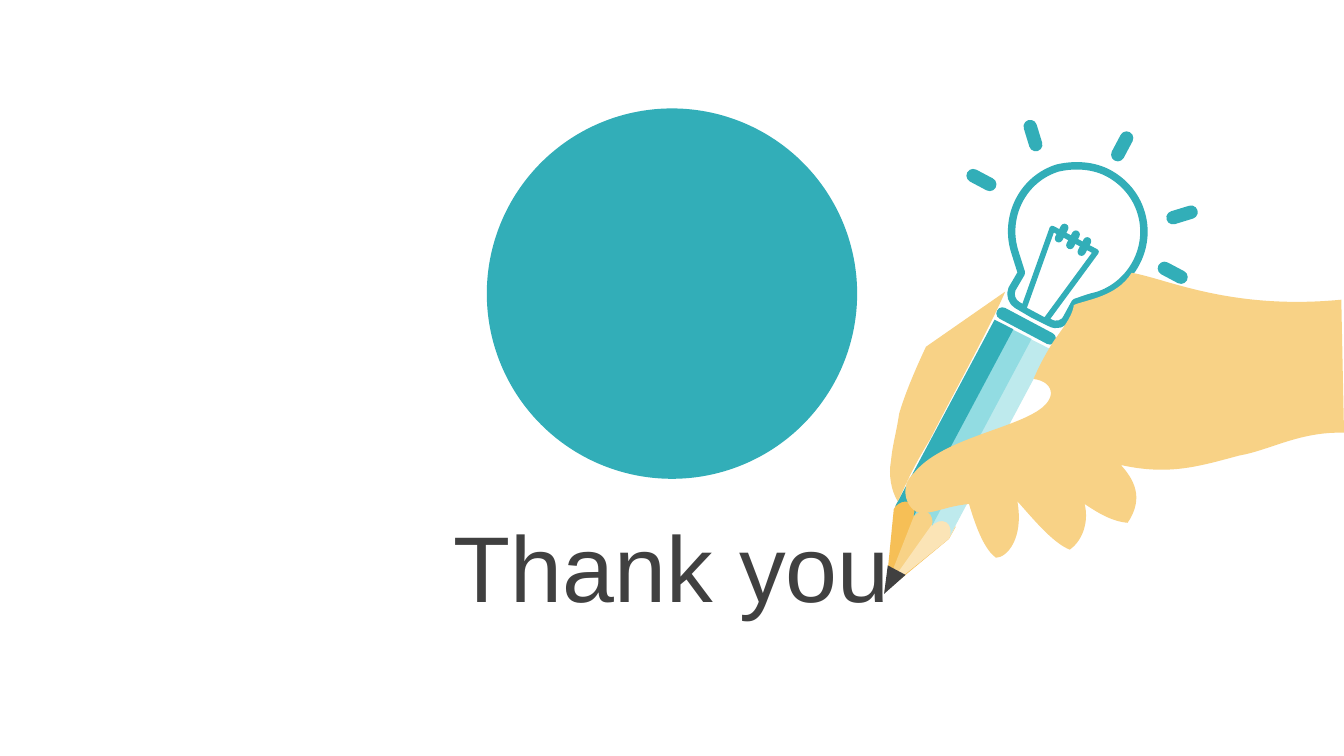
from math import cos, radians, sin

from pptx import Presentation
from pptx.dml.color import RGBColor
from pptx.enum.shapes import MSO_SHAPE as SHAPE
from pptx.enum.text import MSO_ANCHOR, MSO_AUTO_SIZE, PP_ALIGN
from pptx.oxml.ns import qn
from pptx.util import Pt

TEAL = RGBColor(0x32, 0xAE, 0xB8)
AQUA = RGBColor(0x92, 0xDC, 0xE2)
MIST = RGBColor(0xBE, 0xEA, 0xED)
GOLD = RGBColor(0xF6, 0xBF, 0x56)
SKIN = RGBColor(0xF8, 0xD2, 0x86)
CREAM = RGBColor(0xFB, 0xE4, 0xB6)
DARK = RGBColor(0x40, 0x40, 0x40)
WHITE = RGBColor(0xFF, 0xFF, 0xFF)

GRID = 0.72   # points per unit in the outlines
TILT = 28     # lean of the pencil in degrees

deck = Presentation()
deck.slide_width, deck.slide_height = Pt(720), Pt(405)
slide = deck.slides.add_slide(deck.slide_layouts[5])


def paint(shape, fill, line=None, width=0):
    shape.shadow.inherit = False
    shape.fill.solid()
    shape.fill.fore_color.rgb = fill
    if line is None:
        shape.line.fill.background()
    else:
        shape.line.color.rgb = line
        shape.line.width = Pt(width)
    return shape


def trace(loops, fill, turn=0, **edge):
    """Draw closed loops: 2 numbers are a line end, 6 a Bezier curve."""
    c, s = cos(radians(turn)), sin(radians(turn))
    pen = None
    for loop in loops:
        flat = [seg[i:i + 2] for seg in loop for i in range(0, len(seg), 2)]
        # Stand the outline upright; the shape's rotation leans it again
        dots = [(Pt((x * c + y * s) * GRID), Pt((y * c - x * s) * GRID))
                for x, y in flat]
        if pen is None:
            pen = slide.shapes.build_freeform(*dots[0])
        else:
            pen.move_to(*dots[0])
        pen.add_line_segments(dots[1:], close=True)
    shape = pen.convert_to_shape()
    midx = shape.left + shape.width / 2
    midy = shape.top + shape.height / 2
    shape.left = round(midx * c - midy * s - shape.width / 2)
    shape.top = round(midx * s + midy * c - shape.height / 2)
    shape.rotation = turn
    # Join each three points of a curve
    route = next(shape._element.iter(qn("a:path")))
    nodes = iter(list(route))
    for loop in loops:
        for seg in loop:
            node = next(nodes)
            if len(seg) == 6:
                node.tag = qn("a:cubicBezTo")
                for _ in range(2):
                    extra = next(nodes)
                    node.append(extra[0])
                    route.remove(extra)
        next(nodes)
    return paint(shape, fill, **edge)


# Title
title = slide.shapes.title
box = {"left": 0, "top": 280.1, "width": 720, "height": 45.4}
for key, val in box.items():
    setattr(title, key, Pt(val))
frame = title.text_frame
frame.text = "Thank you"
para = frame.paragraphs[0]
looks = [
    (frame, {"auto_size": MSO_AUTO_SIZE.NONE, "word_wrap": True,
             "vertical_anchor": MSO_ANCHOR.MIDDLE}),
    (para, {"alignment": PP_ALIGN.CENTER, "space_before": Pt(11)}),
    (para.runs[0].font, {"name": "Arial", "size": Pt(50)}),
]
for part, style in looks:
    for key, val in style.items():
        setattr(part, key, val)
para.runs[0].font.color.rgb = DARK

# Circle
paint(slide.shapes.add_shape(SHAPE.OVAL, Pt(260.8), Pt(58.1),
                             Pt(198.4), Pt(198.4)), TEAL)

# Sharpened wood
trace([[(711, 392), (670, 370), (665, 379), (659, 440), (706, 401)]],
      GOLD, TILT)
trace([[(698, 384), (684, 377), (680, 384), (658, 440), (693, 394)]],
      SKIN, TILT)
trace([[(711, 392), (697, 384), (696, 387, 695, 389, 693, 391),
        (659, 439), (706, 401)]], CREAM, TILT)

# Pencil barrel: one strip, shifted per colour
strip = [(754, 245), (740, 238), (666, 377),
         (669, 374, 673, 372, 677, 374), (680, 376, 681, 380, 680, 384)]
for n, tone in ((2, MIST), (1, AQUA), (0, TEAL)):
    trace([[tuple(v + n * (7.25 if i % 2 else 13.5)
                  for i, v in enumerate(seg)) for seg in strip]], tone, TILT)

# Light bulb
bulb = [(825, 129), (814, 123, 800, 122, 787, 125),
        (761, 133, 747, 161, 755, 187), (760, 203), (753, 215),
        (751, 219, 753, 225, 757, 227), (769, 234), (781, 240),
        (786, 243, 792, 241, 794, 236), (800, 225),
        (806, 223, 811, 221, 816, 220), (842, 212, 857, 184, 849, 158),
        (845, 145, 836, 135, 825, 129)]
trace([bulb], WHITE, 253, line=TEAL, width=4)

# Lead tip and filament
for kind, x, y, w, h, look in (
        (SHAPE.ISOSCELES_TRIANGLE, 471.6, 304.6, 10.8, 14.4, (DARK,)),
        (SHAPE.TRAPEZOID, 551.5, 126, 26.6, 45.4, (WHITE, TEAL, 3))):
    item = slide.shapes.add_shape(kind, Pt(x), Pt(y), Pt(w), Pt(h))
    item.rotation = 180 + TILT
    paint(item, *look)

# Rays, collar and filament coils
rays = [(549.8, 64, 343), (629.6, 106.5, 73), (597.6, 69.8, 28),
        (522.2, 87.8, 298), (624.6, 137.5, 118)]
pills = [(x, y, 7.2, 17.3, turn) for x, y, turn in rays]
pills.append((532.1, 171.4, 35.3, 6.5, TILT))
pills += [(566.6 + 6.1 * n, 119.5 + 3.6 * n, 4.3, 10.8, TILT)
          for n in (2, 1, 0)]
for x, y, w, h, turn in pills:
    pill = slide.shapes.add_shape(SHAPE.ROUNDED_RECTANGLE,
                                  Pt(x), Pt(y), Pt(w), Pt(h))
    pill.adjustments[0] = 0.5
    pill.rotation = turn
    paint(pill, TEAL)

# Hand: finger behind the pencil, then palm and fingers
finger = [(748, 217), (689, 258), (681, 275, 673, 294, 669, 308),
          (667, 322, 664, 331, 663, 343), (661, 353, 663, 365, 668, 373),
          (672, 366, 676, 353, 692, 327), (705, 301, 735, 247, 748, 217)]
palm = [(842, 203), (831, 221, 808, 223, 799, 227),
        (798, 237, 786, 250, 782, 257), (776, 267, 773, 273, 769, 282),
        (777, 283, 782, 287, 782, 293), (779, 317, 705, 321, 680, 352),
        (668, 363, 675, 380, 685, 382), (699, 381, 703, 377, 721, 375),
        (727, 395, 733, 409, 741, 415), (749, 415, 762, 401, 757, 373),
        (767, 384, 783, 404, 796, 409), (807, 401, 810, 386, 807, 375),
        (816, 381, 827, 388, 839, 389), (852, 370, 843, 356, 834, 346),
        (870, 354, 892, 347, 922, 339), (945, 335, 967, 321, 1000, 322),
        (998, 223), (915, 231, 867, 207, 842, 203)]
trace([finger, palm], SKIN)

deck.save("out.pptx")
